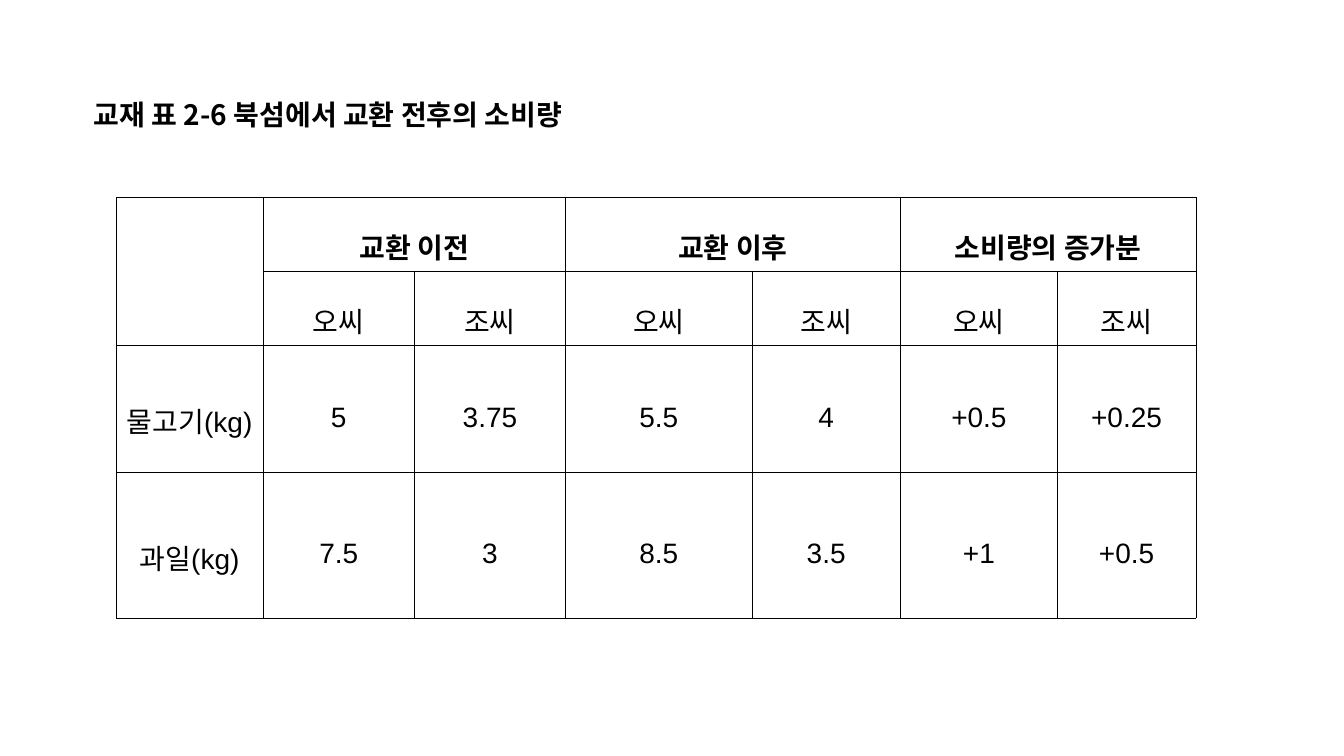
import pptx
import pptx.dml.color
import pptx.enum.text
import pptx.oxml
import pptx.oxml.ns
import pptx.util

Inches = pptx.util.Inches
Pt = pptx.util.Pt
ALIGN = pptx.enum.text.PP_ALIGN
ANCHOR = pptx.enum.text.MSO_ANCHOR

COLORS = {"text": "000000", "border": "000000", "background": "FFFFFF"}
KOREAN = "Noto Sans CJK KR"
LATIN = "Arial"

COLUMNS = [1.46, 1.5, 1.5, 1.85, 1.47, 1.56, 1.37]
ROWS = [0.73, 0.73, 1.26, 1.45]
CONSUMPTION = [
    ["", "교환 이전", "", "교환 이후", "", "소비량의 증가분", ""],
    [""] + ["오씨", "조씨"] * 3,
    ["물고기(kg)", "5", "3.75", "5.5", "4", "+0.5", "+0.25"],
    ["과일(kg)", "7.5", "3", "8.5", "3.5", "+1", "+0.5"],
]
MERGES = [((0, 0), (1, 0))] + [((0, c), (0, c + 1)) for c in (1, 3, 5)]


class SlideBuilder:
    size = Pt(20)
    line_spacing = 1.6
    border_width = Pt(0.28)

    def __init__(self, slide):
        self.slide = slide
        fill = slide.background.fill
        fill.solid()
        fill.fore_color.rgb = self.color("background")

    def color(self, name):
        return pptx.dml.color.RGBColor.from_string(COLORS[name])

    def set_text(self, tf, text, align, font, bold):
        tf.word_wrap = True
        tf.text = text
        p = tf.paragraphs[0]
        p.alignment = align
        p.line_spacing = self.line_spacing
        for r in p.runs:
            r.font.size = self.size
            r.font.bold = bold
            r.font.name = font
            r.font.color.rgb = self.color("text")
            ea = pptx.oxml.parse_xml(
                f'<a:ea {pptx.oxml.ns.nsdecls("a")} typeface="{KOREAN}"/>')
            r.font._element.find(pptx.oxml.ns.qn("a:latin")).addnext(ea)

    def title(self, text, left, top, width, height):
        sp = self.slide.shapes.add_textbox(
            Inches(left), Inches(top), Inches(width), Inches(height))
        self.set_text(sp.text_frame, text, ALIGN.JUSTIFY, KOREAN, True)

    def border(self, cell):
        tc_pr = cell._tc.get_or_add_tcPr()
        for i, side in enumerate("LRTB"):
            tc_pr.insert(i, pptx.oxml.parse_xml(
                f'<a:ln{side} {pptx.oxml.ns.nsdecls("a")} w="{int(self.border_width)}">'
                f'<a:solidFill><a:srgbClr val="{COLORS["border"]}"/></a:solidFill>'
                f'</a:ln{side}>'))

    def table(self, values, left, top, columns, rows, merges):
        table = self.slide.shapes.add_table(
            len(rows), len(columns), Inches(left), Inches(top),
            Inches(sum(columns)), Inches(sum(rows))).table
        table.first_row = False
        table.horz_banding = False
        for column, width in zip(table.columns, columns):
            column.width = Inches(width)
        for row, height in zip(table.rows, rows):
            row.height = Inches(height)
        for start, end in merges:
            table.cell(*start).merge(table.cell(*end))
        for i, row in enumerate(values):
            for j, text in enumerate(row):
                cell = table.cell(i, j)
                cell.fill.background()
                self.border(cell)
                cell.vertical_anchor = ANCHOR.MIDDLE
                cell.margin_left = cell.margin_right = Inches(0.07)
                cell.margin_top = cell.margin_bottom = Inches(0.02)
                if text:
                    header = i == 0
                    self.set_text(cell.text_frame, text, ALIGN.CENTER,
                                  KOREAN if header else LATIN, header)


def main():
    prs = pptx.Presentation()
    prs.slide_width = Inches(13.33)
    prs.slide_height = Inches(7.5)
    builder = SlideBuilder(prs.slides.add_slide(prs.slide_layouts[6]))
    builder.title("교재 표 2-6 북섬에서 교환 전후의 소비량", 0.83, 0.72, 11.58, 6.06)
    builder.table(CONSUMPTION, 1.15, 1.96, COLUMNS, ROWS, MERGES)
    prs.save("out.pptx")


if __name__ == "__main__":
    main()
